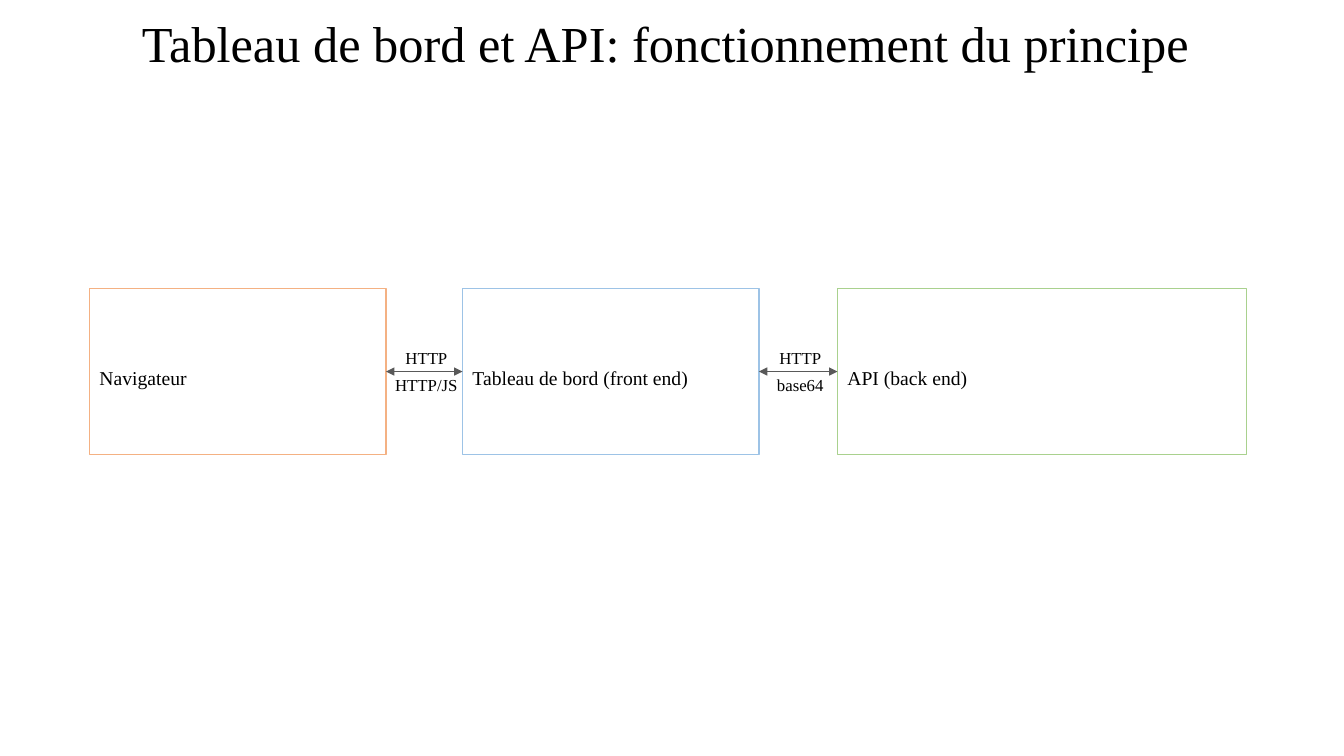
from dataclasses import dataclass

from lxml import etree
from pptx import Presentation
from pptx.dml.color import RGBColor
from pptx.enum.shapes import MSO_CONNECTOR, MSO_SHAPE
from pptx.enum.text import MSO_ANCHOR, PP_ALIGN
from pptx.oxml.ns import qn
from pptx.util import Pt

LEFT, CENTER = PP_ALIGN.LEFT, PP_ALIGN.CENTER
MIDDLE = MSO_ANCHOR.MIDDLE
RECT = MSO_SHAPE.RECTANGLE
STRAIGHT = MSO_CONNECTOR.STRAIGHT
LEFT_SIDE, RIGHT_SIDE = 1, 3


@dataclass(frozen=True)
class Theme:
    font: str = "Times New Roman"
    ink: str = "000000"
    arrow: str = "595959"
    orange: str = "F4B183"
    blue: str = "9DC3E6"
    green: str = "A9D18E"
    title: int = 36
    body: int = 14
    label: int = 12


THEME = Theme()


def color(code):
    return RGBColor.from_string(code)


def write(shape, text, size=THEME.body, align=LEFT, space=1.0):
    frame = shape.text_frame
    frame.word_wrap = True
    frame.vertical_anchor = MIDDLE
    para = frame.paragraphs[0]
    para.alignment = align
    para.line_spacing = space
    run = para.add_run()
    run.text = text
    run.font.name = THEME.font
    run.font.size = Pt(size)
    run.font.color.rgb = color(THEME.ink)


def add_title(slide, text, left, top, width, height):
    title = slide.shapes.title
    title.left, title.top = Pt(left), Pt(top)
    title.width, title.height = Pt(width), Pt(height)
    write(title, text, size=THEME.title, align=CENTER, space=0.9)


def add_node(slide, text, line, left, top, width, height):
    node = slide.shapes.add_shape(RECT, Pt(left), Pt(top), Pt(width), Pt(height))
    node.shadow.inherit = False
    node.fill.background()
    node.line.color.rgb = color(line)
    node.line.width = Pt(1)
    write(node, text, space=1.5)
    return node


def add_link(slide, start, end, labels):
    link = slide.shapes.add_connector(STRAIGHT, 0, 0, 0, 0)
    link.begin_connect(start, RIGHT_SIDE)
    link.end_connect(end, LEFT_SIDE)
    link.line.color.rgb = color(THEME.arrow)
    link.line.width = Pt(0.5)
    stroke = link.line._get_or_add_ln()
    for tip in ("a:headEnd", "a:tailEnd"):
        etree.SubElement(stroke, qn(tip), type="triangle")
    etree.SubElement(link._element.spPr, qn("a:effectLst"))

    width, height = Pt(60), Pt(30)
    left = link.left + (link.width - width) // 2 + Pt(1.5)
    for text, shift in zip(labels, (-25, -5.5)):
        box = slide.shapes.add_textbox(left, link.top + Pt(shift), width, height)
        write(box, text, size=THEME.label, align=CENTER)


def add_flow(slide, left, top, height):
    parts = (
        ("Navigateur", THEME.orange, 0, 211.7),
        ("Tableau de bord (front end)", THEME.blue, 266.4, 211.7),
        ("API (back end)", THEME.green, 534.2, 292.3),
    )
    nodes = [
        add_node(slide, text, line, left + shift, top, width, height)
        for text, line, shift, width in parts
    ]
    links = (("HTTP", "HTTP/JS"), ("HTTP", "base64"))
    for start, end, labels in zip(nodes, nodes[1:], links):
        add_link(slide, start, end, labels)


def main():
    deck = Presentation()
    deck.slide_width, deck.slide_height = Pt(960), Pt(540)
    slide = deck.slides.add_slide(deck.slide_layouts[5])
    add_title(slide, "Tableau de bord et API: fonctionnement du principe ", 0, 0, 960, 66)
    add_flow(slide, 64, 206, 118.8)
    deck.save("out.pptx")


if __name__ == "__main__":
    main()
